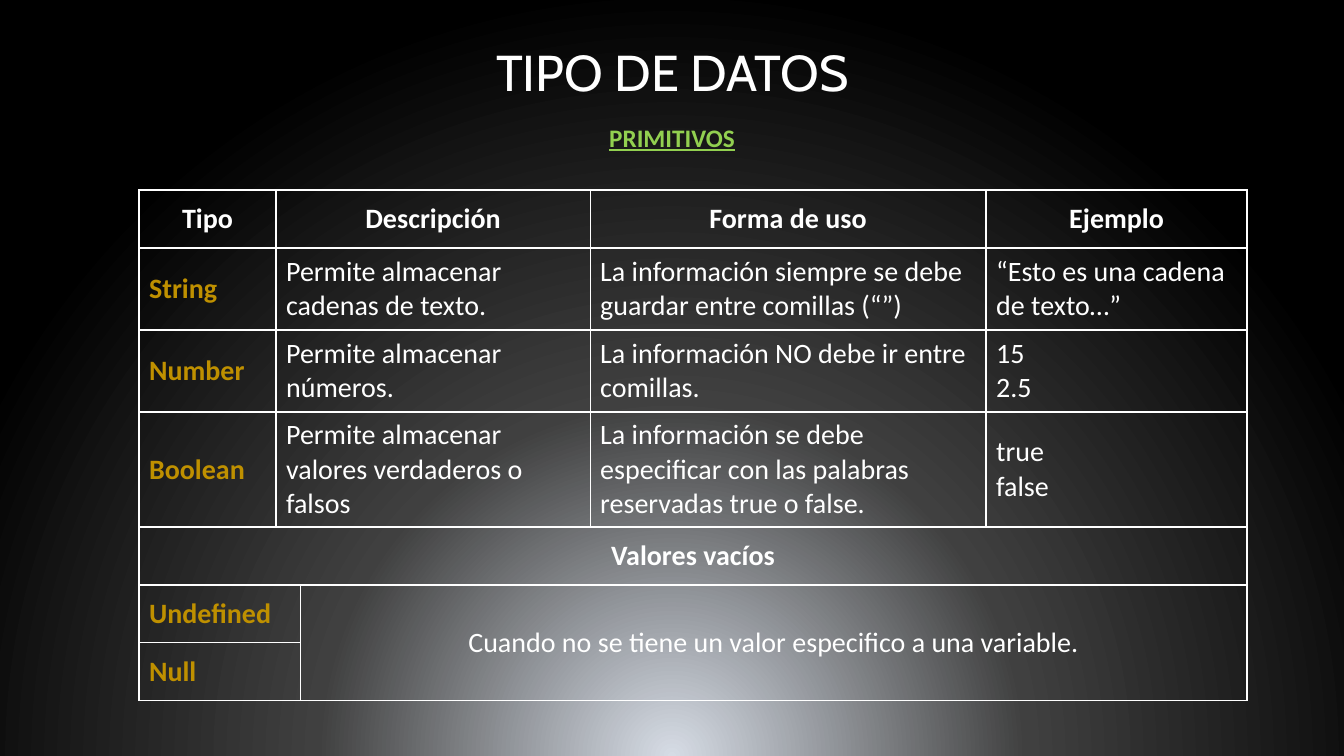
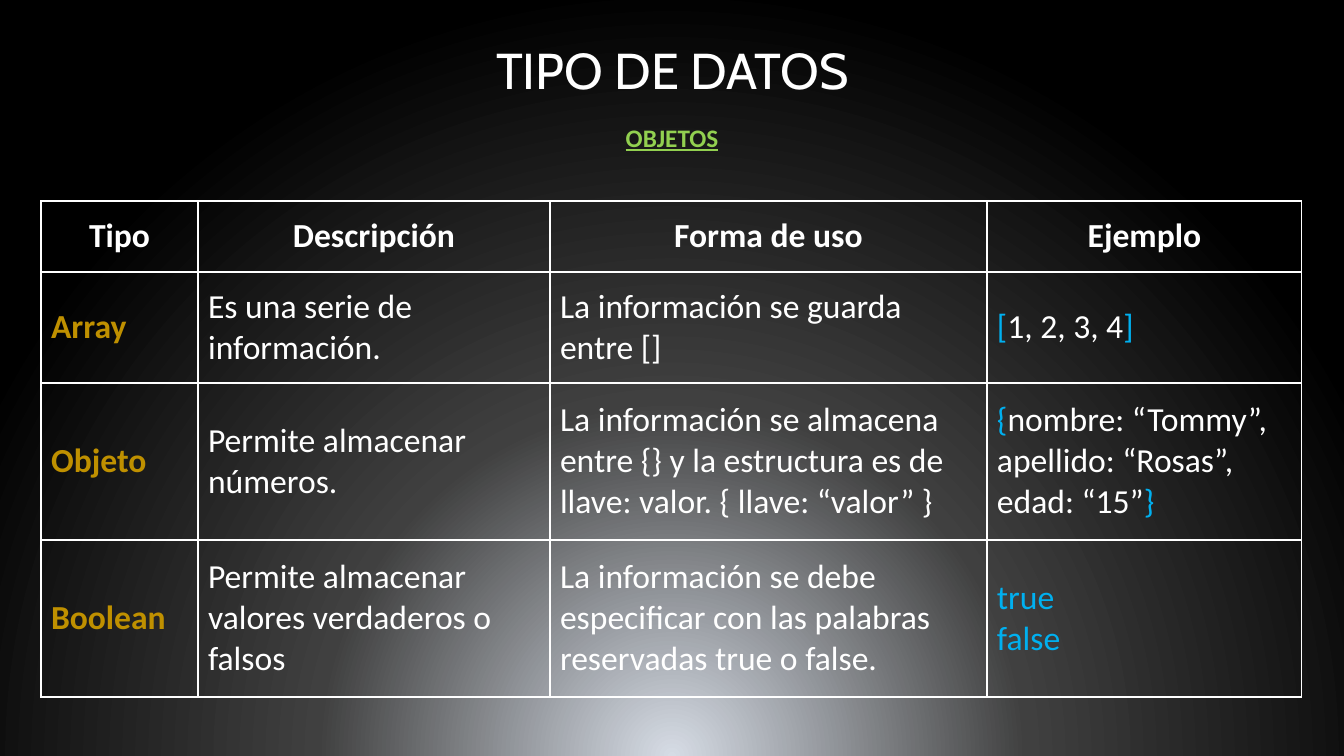
from typing import NamedTuple

from pptx import Presentation
from pptx.dml.color import RGBColor
from pptx.enum.text import MSO_ANCHOR, PP_ALIGN
from pptx.oxml import parse_xml
from pptx.oxml.ns import nsdecls
from pptx.util import Pt

PX = 914400 / 100.8
WHITE, GOLD, GREEN, BLUE = "FFFFFF", "BF9000", "92D050", "00B0F0"
BACKGROUND = [(0, "D6DCE5"), (46, "404040"), (100, "000000")]
TITLE_FONT, TEXT_FONT = "Cabin", "Calibri"


class Style(NamedTuple):
    color: str
    bold: bool
    align: PP_ALIGN


HEAD = Style(WHITE, True, PP_ALIGN.CENTER)
NAME = Style(GOLD, True, PP_ALIGN.LEFT)
BODY = Style(WHITE, False, PP_ALIGN.LEFT)
NOTE = Style(WHITE, False, PP_ALIGN.CENTER)

HEADINGS = ["Tipo", "Descripción", "Forma de uso", "Ejemplo"]
BOOLEAN = [
    "Boolean",
    "Permite almacenar valores verdaderos o falsos",
    "La información se debe especificar con las palabras reservadas true o false.",
]

PRIMITIVES = [
    HEADINGS,
    ["String", "Permite almacenar cadenas de texto.",
     "La información siempre se debe guardar entre comillas (“”)",
     "“Esto es una cadena de texto…”"],
    ["Number", "Permite almacenar números.",
     "La información NO debe ir entre comillas.", "15\n2.5"],
    BOOLEAN + ["true\nfalse"],
]
# The second grid column only exists to widen the names of the empty values.
PRIMITIVE_ROWS = [[name, text, None, *rest] for name, text, *rest in PRIMITIVES] + [
    ["Valores vacíos"],
    ["Undefined", None, "Cuando no se tiene un valor especifico a una variable."],
    ["Null"],
]
PRIMITIVE_MERGES = [(r, 1, r, 2) for r in range(len(PRIMITIVES))] + [
    (4, 0, 4, 4), (5, 0, 5, 1), (6, 0, 6, 1), (5, 2, 6, 4),
]

# A cell is plain text, or a list of paragraphs made of (text, colour) runs.
OBJECT_ROWS = [
    HEADINGS,
    ["Array", "Es una serie de información.", "La información se guarda entre []",
     [[("[", BLUE), ("1, 2, 3, 4", WHITE), ("]", BLUE)]]],
    ["Objeto", "Permite almacenar números.",
     "La información se almacena entre {} y la estructura es de "
     "llave: valor. { llave: “valor” }",
     [[("{", BLUE), ("nombre: “Tommy”, apellido: “Rosas”, edad: “15”", WHITE),
       ("}", BLUE)]]],
    BOOLEAN + [[[("true", BLUE)], [("false", BLUE)]]],
]


def px(*values):
    return [round(v * PX) for v in values]


def rgb(color):
    return RGBColor.from_string(color)


def format_run(r, font, size, color, bold=False, underline=False):
    r.font.name = font
    r.font.size = Pt(size)
    r.font.color.rgb = rgb(color)
    r.font.bold = bold
    r.font.underline = underline


def set_background(master):
    """Give the master a round gradient centred below the slide."""
    stops = "".join(
        f'<a:gs pos="{pos * 1000}"><a:srgbClr val="{color}"/></a:gs>'
        for pos, color in BACKGROUND)
    fill = parse_xml(
        f'<a:gradFill {nsdecls("a")} rotWithShape="1"><a:gsLst>{stops}</a:gsLst>'
        '<a:path path="circle"><a:fillToRect l="50000" t="130000" r="50000" '
        'b="-30000"/></a:path></a:gradFill>')
    master.background.fill.solid()
    solid = master.element.cSld.bg.bgPr[0]
    solid.getparent().replace(solid, fill)


def add_title(s, top):
    sp = s.shapes.title
    sp.left, sp.top, sp.width, sp.height = px(242, top, 861, 100)
    tf = sp.text_frame
    tf.text = "TIPO DE DATOS"
    tf.vertical_anchor = MSO_ANCHOR.MIDDLE
    p = tf.paragraphs[0]
    p.alignment = PP_ALIGN.CENTER
    p.line_spacing = 0.9
    format_run(p.runs[0], TITLE_FONT, 36, WHITE)


def add_subtitle(s, text):
    tf = s.shapes.add_textbox(*px(599, 117, 146, 40)).text_frame
    tf.word_wrap = True
    tf.margin_left = tf.margin_right = 0
    tf.text = text
    p = tf.paragraphs[0]
    p.alignment = PP_ALIGN.CENTER
    format_run(p.runs[0], TEXT_FONT, 18, GREEN, bold=True, underline=True)


def outline_cell(cell):
    tcPr = cell._tc.get_or_add_tcPr()
    for side in "LRTB":
        tcPr.append(parse_xml(
            f'<a:ln{side} {nsdecls("a")} w="{Pt(1)}"><a:solidFill>'
            f'<a:srgbClr val="{WHITE}"/></a:solidFill></a:ln{side}>'))
    cell.fill.background()


def write_cell(cell, content, size, style):
    if isinstance(content, str):
        content = [[(line, style.color)] for line in content.split("\n")]
    tf = cell.text_frame
    for i, runs in enumerate(content):
        p = tf.add_paragraph() if i else tf.paragraphs[0]
        p.alignment = style.align
        for text, color in runs:
            r = p.add_run()
            r.text = text
            format_run(r, TEXT_FONT, size, color, style.bold)


def add_grid(s, left, top, widths, heights, rows, size, merges=(), styles=None):
    """Add an outlined table; styles overrides the rule by (row, column)."""
    styles = styles or {}
    frame = s.shapes.add_table(
        len(heights), len(widths), *px(left, top, sum(widths), sum(heights)))
    table = frame.table
    table.first_row = table.horz_banding = False
    for column, width in zip(table.columns, px(*widths)):
        column.width = width
    for row, height in zip(table.rows, px(*heights)):
        row.height = height
    for cell in table.iter_cells():
        outline_cell(cell)
        cell.vertical_anchor = MSO_ANCHOR.MIDDLE
    for r0, c0, r1, c1 in merges:
        table.cell(r0, c0).merge(table.cell(r1, c1))
    for i, row in enumerate(rows):
        for j, content in enumerate(row):
            if content is not None:
                rule = HEAD if i == 0 else NAME if j == 0 else BODY
                write_cell(table.cell(i, j), content, size, styles.get((i, j), rule))


def add_slide(prs, title_top, subtitle):
    s = prs.slides.add_slide(prs.slide_layouts.get_by_name("Title Only"))
    add_title(s, title_top)
    add_subtitle(s, subtitle)
    return s


def main():
    prs = Presentation()
    prs.slide_width, prs.slide_height = px(1344, 756)
    set_background(prs.slide_master)

    s = add_slide(prs, 25, "PRIMITIVOS")
    add_grid(s, 139, 190, [137, 17, 290, 396, 261], [58, 82, 82, 115, 58, 58, 58],
             PRIMITIVE_ROWS, 20, PRIMITIVE_MERGES, {(4, 0): HEAD, (5, 2): NOTE})

    s = add_slide(prs, 23, "OBJETOS")
    add_grid(s, 41, 201, [157, 352, 437, 315], [71, 111, 157, 157], OBJECT_ROWS, 24)

    prs.save("out.pptx")


if __name__ == "__main__":
    main()
